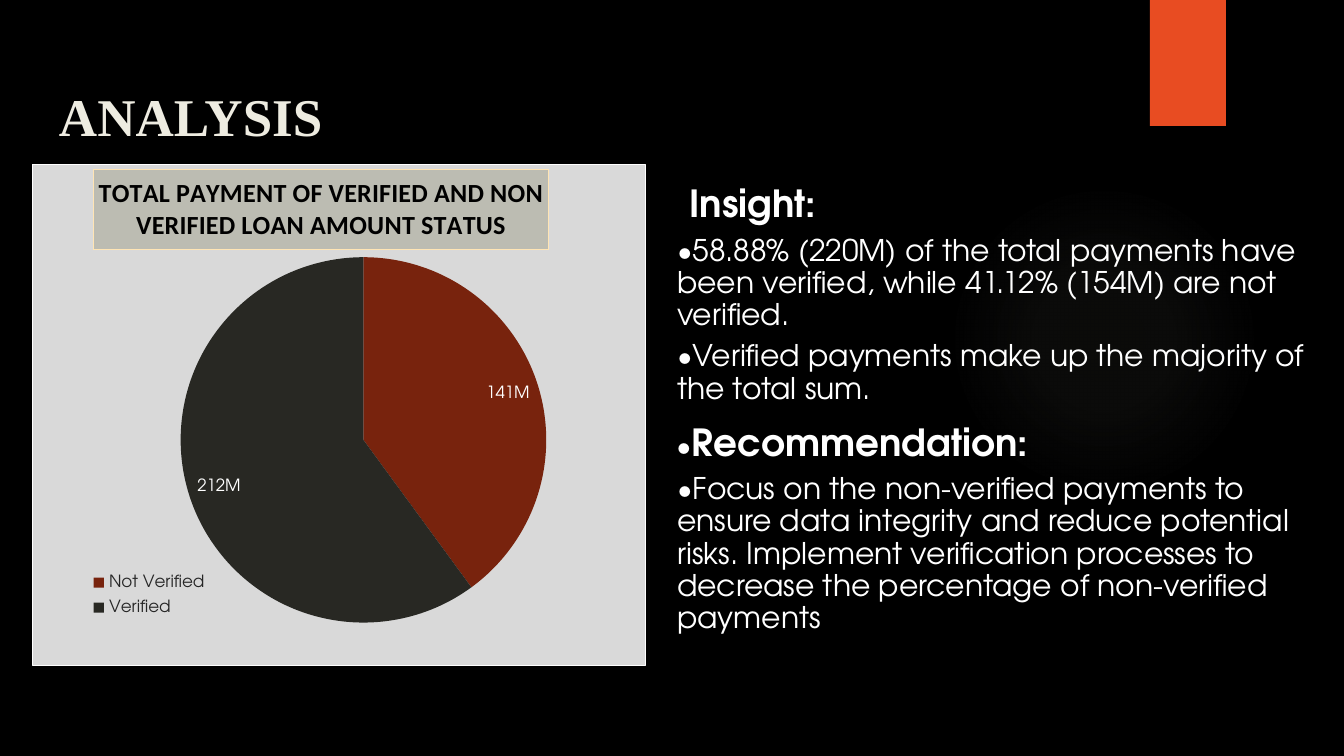
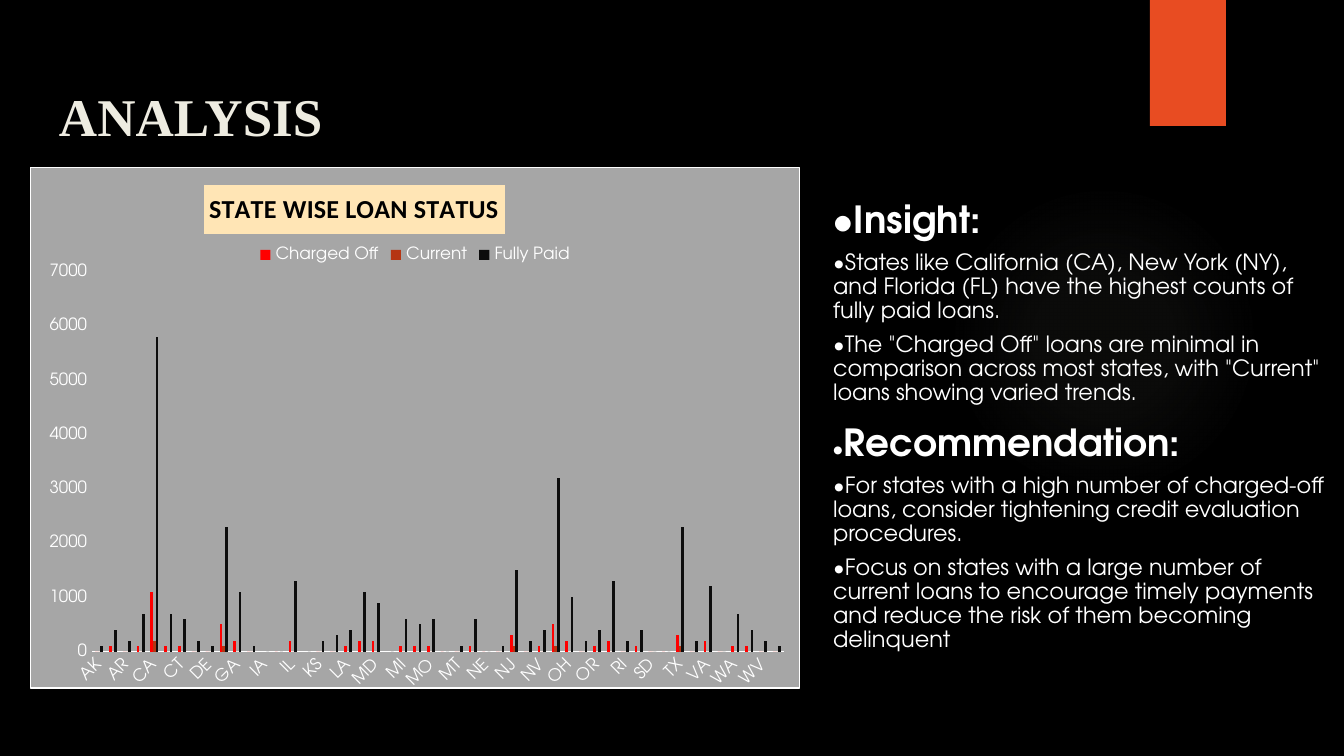
from dataclasses import dataclass

from lxml import etree
from pptx import Presentation
from pptx.chart.data import CategoryChartData
from pptx.dml.color import RGBColor
from pptx.enum.chart import XL_CHART_TYPE, XL_LABEL_POSITION, XL_LEGEND_POSITION, XL_TICK_MARK
from pptx.enum.shapes import MSO_SHAPE
from pptx.oxml import parse_xml
from pptx.oxml.ns import nsdecls, qn
from pptx.util import Pt

PIE, COLUMN = XL_CHART_TYPE.PIE, XL_CHART_TYPE.COLUMN_CLUSTERED
LEGEND_RIGHT, LEGEND_TOP = XL_LEGEND_POSITION.RIGHT, XL_LEGEND_POSITION.TOP
INSIDE_END = XL_LABEL_POSITION.INSIDE_END
NO_TICK = XL_TICK_MARK.NONE
RECT, OVAL = MSO_SHAPE.RECTANGLE, MSO_SHAPE.OVAL
PX_PER_INCH = 134.4


@dataclass(frozen=True)
class Theme:
    bg: str = "000000"
    white: str = "FFFFFF"
    black: str = "000000"
    title: str = "EEECE1"
    accent: str = "E84C22"
    glow: str = "9A9A8C"
    cream: str = "FFE5B5"
    stone: str = "BCBCB2"
    light_panel: str = "D9D9D9"
    grey_panel: str = "A6A6A6"
    ink: str = "262626"
    maroon: str = "78230D"
    charcoal: str = "282823"
    red: str = "FF0000"
    rust: str = "B53513"
    jet: str = "0D0D0D"
    title_font: str = "Times New Roman"
    body_font: str = "TeX Gyre Adventor"
    chart_title_font: str = "Calibri"
    title_size: float = 28.4
    heading_size: int = 20
    chart_title_size: int = 14
    label_size: int = 9


T = Theme()

STATES = (
    "AK AL AR AZ CA CO CT DC DE FL GA HI IA ID IL IN KS KY LA MA MD ME MI MN MO "
    "MS MT NC NE NH NJ NM NV NY OH OK OR PA RI SC SD TN TX UT VA VT WA WI WV WY"
).split()
LOAN_HUNDREDS = {
    "Charged Off": (
        "0 1 0 1 11 1 1 0 0 5 2 0 - 0 2 - 0 0 1 2 2 - 1 1 1 "
        "0 0 1 0 0 3 0 1 5 2 0 1 2 0 1 0 0 3 0 2 0 1 1 0 0"
    ),
    "Current": (
        "0 0 0 0 2 0 0 0 0 1 0 0 - - 0 - 0 0 0 0 0 - 0 0 0 "
        "- 0 0 - 0 1 0 0 1 0 0 0 0 0 0 0 - 1 0 0 0 0 0 0 0"
    ),
    "Fully Paid": (
        "1 4 2 7 58 7 6 2 1 23 11 1 0 0 13 0 2 3 4 11 9 0 6 5 6 "
        "0 1 6 0 1 15 2 4 32 10 2 4 13 2 4 0 0 23 2 12 0 7 4 2 1"
    ),
}
LOAN_COLORS = (T.red, T.rust, T.jet)

PAYMENT_INSIGHTS = (
    "58.88% (220M) of the total payments have been verified, while 41.12% (154M) are not verified.",
    "Verified payments make up the majority of the total sum.",
)
PAYMENT_ADVICE = (
    "Focus on the non-verified payments to ensure data integrity and reduce potential risks. "
    "Implement verification processes to decrease the percentage of non-verified payments",
)
STATE_INSIGHTS = (
    "States like California (CA), New York (NY), and Florida (FL) have the highest counts of fully paid loans.",
    'The "Charged Off" loans are minimal in comparison across most states, '
    'with "Current" loans showing varied trends.',
)
STATE_ADVICE = (
    "For states with a high number of charged-off loans, consider tightening credit evaluation procedures.",
    "Focus on states with a large number of current loans to encourage timely payments "
    "and reduce the risk of them becoming delinquent",
)


def px(n):
    return round(n * 914400 / PX_PER_INCH)


def emu(box):
    return [px(n) for n in box]


def rgb(color):
    return RGBColor.from_string(color)


def paint(fill, color):
    fill.solid()
    fill.fore_color.rgb = rgb(color)


def style(font, size, color, name=T.body_font, bold=False):
    font.size = Pt(size)
    font.color.rgb = rgb(color)
    font.name = name
    font.bold = bold


def add_shape(s, kind, box):
    sp = s.shapes.add_shape(kind, *emu(box))
    sp.shadow.inherit = False
    sp.line.fill.background()
    return sp


def add_glow(s, box):
    sp = add_shape(s, OVAL, box)
    stops = "".join(
        f'<a:gs pos="{pos}000"><a:srgbClr val="{T.glow}"><a:alpha val="{alpha}000"/></a:srgbClr></a:gs>'
        for pos, alpha in ((0, 7), (36, 6), (69, 0), (100, 0))
    )
    gradient = parse_xml(
        f'<a:gradFill {nsdecls("a")} rotWithShape="1"><a:gsLst>{stops}</a:gsLst>'
        '<a:path path="circle"><a:fillToRect l="50000" t="50000" r="50000" b="50000"/></a:path></a:gradFill>'
    )
    sp._element.spPr.find(qn("a:prstGeom")).addnext(gradient)


def add_title(s, box, text):
    tf = s.shapes.add_textbox(*emu(box)).text_frame
    tf.word_wrap = True
    tf.margin_left = tf.margin_right = px(13)
    tf.margin_top, tf.margin_bottom = px(18), px(8)
    p = tf.paragraphs[0]
    p.text = text
    style(p.font, T.title_size, T.title, T.title_font, True)


def new_slide(prs):
    s = prs.slides.add_slide(prs.slide_layouts[6])
    paint(s.background.fill, T.bg)
    add_glow(s, (949, 185, 310, 310))
    paint(add_shape(s, RECT, (1150, 0, 76, 126)).fill, T.accent)
    add_title(s, (46, 66, 1252, 85), "ANALYSIS")
    return s


def add_findings(s, box, size, insights, advice, bullet_insight):
    tf = s.shapes.add_textbox(*emu(box)).text_frame
    tf.word_wrap = True

    def add_paragraph(space, indent):
        p = tf.paragraphs[0] if not tf.paragraphs[0].runs else tf.add_paragraph()
        p.line_spacing = 0.9
        p.space_before = Pt(space)
        p._p.get_or_add_pPr().set("marL", str(px(indent)))
        return p

    def add_heading(text, bullet_size=None, indent=0):
        p = add_paragraph(10, indent)
        if bullet_size:
            r = p.add_run()
            r.text = "•"
            style(r.font, bullet_size, T.white)
        r = p.add_run()
        r.text = text
        style(r.font, T.heading_size, T.white, bold=True)

    def add_points(points):
        for point in points:
            p = add_paragraph(5, 1)
            p.add_run().text = "•" + point
            style(p.font, size, T.white)

    if bullet_insight:
        add_heading("•Insight:")
    else:
        add_heading("Insight:", indent=13)
    add_points(insights)
    add_heading("Recommendation:", size)
    add_points(advice)


def set_layout(element, index, x, y, w=None, h=None, inner=False):
    for old in element.findall(qn("c:layout")):
        element.remove(old)
    layout = parse_xml(f'<c:layout {nsdecls("c")}><c:manualLayout/></c:layout>')
    values = [("layoutTarget", "inner")] if inner else []
    values += [("xMode", "edge"), ("yMode", "edge"), ("x", x), ("y", y)]
    if w:
        values += [("w", w), ("h", h)]
    for tag, value in values:
        etree.SubElement(layout[0], qn(f"c:{tag}")).set("val", str(value))
    element.insert(index, layout)


def add_panel_chart(s, kind, box, data, panel, plot):
    chart = s.shapes.add_chart(kind, *emu(box), data).chart
    style(chart.font, 10, T.white)
    chart._chartSpace.chart.addnext(parse_xml(
        f'<c:spPr {nsdecls("c", "a")}><a:solidFill><a:srgbClr val="{panel}"/></a:solidFill>'
        f'<a:ln w="9525"><a:solidFill><a:srgbClr val="{T.white}"/></a:solidFill></a:ln></c:spPr>'
    ))
    set_layout(chart.plots[0]._element.getparent(), 0, *plot, inner=True)
    return chart


def title_chart(chart, text, fill, place):
    title = chart.chart_title
    p = title.text_frame.paragraphs[0]
    p.text = text
    style(p.font, T.chart_title_size, T.black, T.chart_title_font, True)
    paint(title.format.fill, fill)
    paint(title.format.line.fill, T.cream)
    set_layout(title._element, 1, *place)


def add_legend(chart, position, color, place):
    chart.has_legend = True
    chart.legend.position = position
    chart.legend.include_in_layout = False
    style(chart.legend.font, T.label_size, color)
    set_layout(chart.legend._element, 1, *place)


def add_payment_pie(s, box):
    data = CategoryChartData()
    data.categories = ["Not Verified", "Verified"]
    data.add_series("Series 1", (141000000, 212000000))
    chart = add_panel_chart(s, PIE, box, data, T.light_panel, (0.09, 0.185, 0.9, 0.73))
    title_chart(chart, "TOTAL PAYMENT OF VERIFIED AND NON VERIFIED LOAN AMOUNT STATUS", T.stone, (0.1, 0.01))
    add_legend(chart, LEGEND_RIGHT, T.ink, (0.08, 0.8, 0.22, 0.12))
    plot = chart.plots[0]
    plot.vary_by_categories = True
    for i, color in enumerate((T.maroon, T.charcoal)):
        paint(plot.series[0].points[i].format.fill, color)
    labels = plot.series[0].data_labels
    labels.show_value = True
    labels.number_format = '0,,"M"'
    labels.number_format_is_linked = False
    labels.position = INSIDE_END
    style(labels.font, T.label_size, T.white)


def add_state_columns(s, box):
    data = CategoryChartData()
    data.categories = STATES
    for name, row in LOAN_HUNDREDS.items():
        data.add_series(name, [None if n == "-" else int(n) * 100 for n in row.split()])
    chart = add_panel_chart(s, COLUMN, box, data, T.grey_panel, (0.08, 0.2, 0.9, 0.73))
    title_chart(chart, "STATE WISE LOAN STATUS", T.cream, (0.226, 0.034))
    add_legend(chart, LEGEND_TOP, T.white, (0.29, 0.14, 0.42, 0.055))
    plot = chart.plots[0]
    plot.gap_width = 219
    plot.vary_by_categories = False
    for series, color in zip(plot.series, LOAN_COLORS):
        paint(series.format.fill, color)
    for axis in (chart.category_axis, chart.value_axis):
        axis.has_major_gridlines = False
        axis.major_tick_mark = axis.minor_tick_mark = NO_TICK
        style(axis.tick_labels.font, T.label_size, T.white)
    states, counts = chart.category_axis, chart.value_axis
    paint(states.format.line.fill, T.white)
    states.format.line.width = Pt(0.75)
    states._element.find(qn("c:txPr")).find(qn("a:bodyPr")).set("rot", "-2700000")
    counts.format.line.fill.background()
    counts.minimum_scale, counts.maximum_scale, counts.major_unit = 0, 7000, 1000


def payment_slide(prs):
    s = new_slide(prs)
    add_payment_pie(s, (32, 164, 614, 502))
    add_findings(s, (663, 179, 672, 468), 16, PAYMENT_INSIGHTS, PAYMENT_ADVICE, False)


def state_slide(prs):
    s = new_slide(prs)
    add_state_columns(s, (30, 167, 770, 522))
    add_findings(s, (819, 195, 525, 469), 12, STATE_INSIGHTS, STATE_ADVICE, True)


def main():
    prs = Presentation()
    prs.slide_width, prs.slide_height = px(1344), px(756)
    payment_slide(prs)
    state_slide(prs)
    prs.save("out.pptx")


if __name__ == "__main__":
    main()
